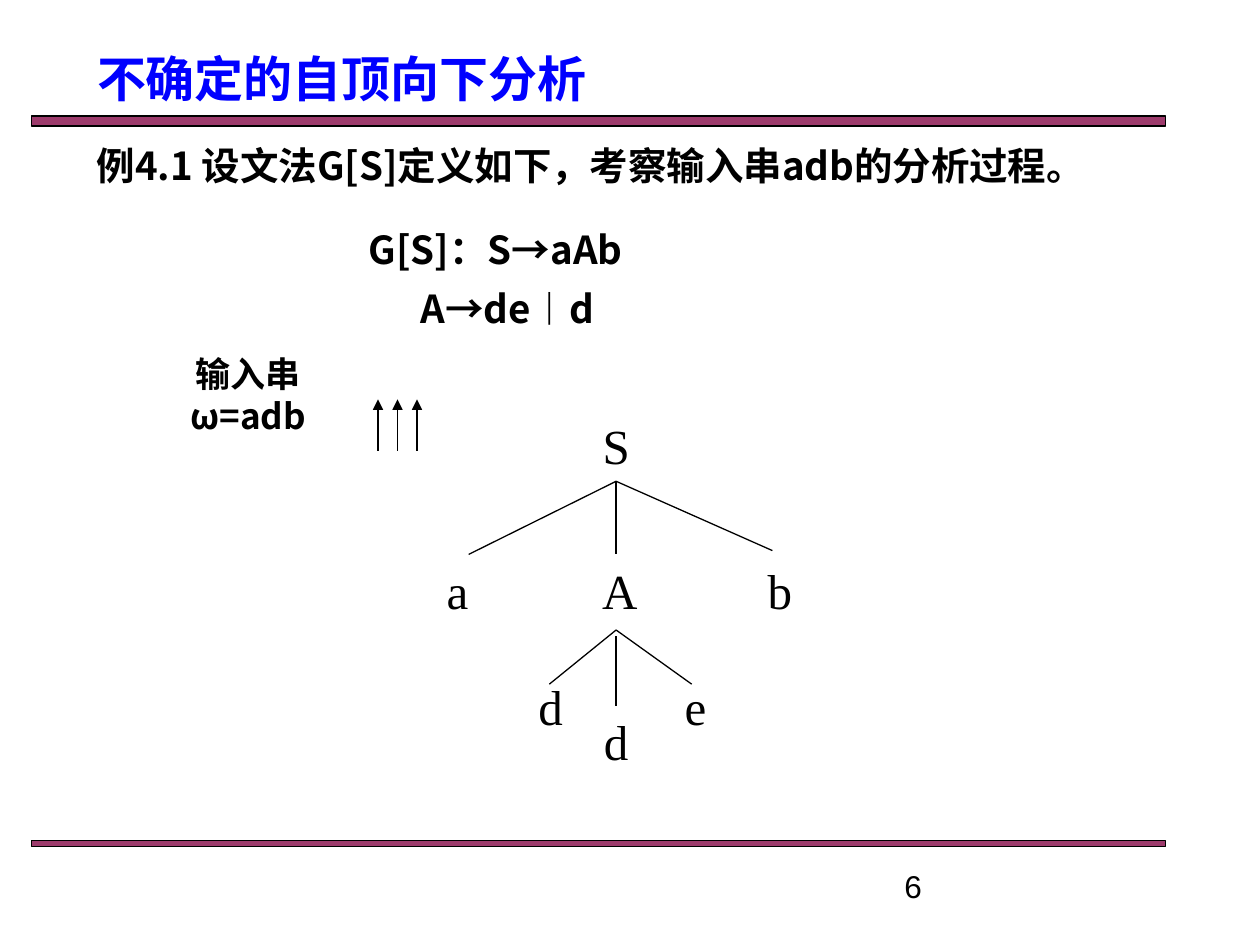
from dataclasses import dataclass

from lxml import etree
from pptx import Presentation
from pptx.dml.color import RGBColor
from pptx.enum import shapes, text
from pptx.oxml import ns
from pptx.util import Inches, Pt


@dataclass(frozen=True)
class Theme:
    ink: str = "000000"
    blue: str = "0000FF"
    plum: str = "993366"
    sans: str = "Noto Sans CJK SC"
    serif: str = "Times New Roman"
    plain: str = "Arial"
    large: int = 28
    body: int = 22
    label: int = 20
    small: int = 18
    rule: float = 0.75


def add(parent, tag, **attrs):
    return etree.SubElement(parent, ns.qn(tag), attrs)


class Board:
    def __init__(self, deck, theme):
        self.theme = theme
        self.slide = deck.slides.add_slide(deck.slide_layouts[5])
        self.items = self.slide.shapes

    def put(self, para, words, size, font, bold=False, color=None):
        """Add one styled run to a paragraph."""
        run = para.add_run()
        run.text = words
        face = run.font
        face.size, face.bold, face.name = Pt(size), bold, font
        face.color.rgb = RGBColor.from_string(color or self.theme.ink)
        add(run._r.get_or_add_rPr(), "a:ea", typeface=self.theme.sans)

    def title(self, words, left, top, width, height):
        box = self.items.title
        box.left, box.top = Inches(left), Inches(top)
        box.width, box.height = Inches(width), Inches(height)
        para = box.text_frame.paragraphs[0]
        para.alignment = text.PP_ALIGN.LEFT
        look = self.theme
        self.put(para, words, look.large, look.serif, True, look.blue)

    def box(self, left, top, width, height):
        item = self.items.add_textbox(*map(Inches, (left, top, width, height)))
        item.text_frame.word_wrap = True
        return item

    def node(self, words, mid, top):
        """Place a tree symbol centred on mid."""
        width = 0.42
        item = self.box(mid - width / 2, top, width, 0.57)
        para = item.text_frame.paragraphs[0]
        para.alignment = text.PP_ALIGN.CENTER
        self.put(para, words, self.theme.large, self.theme.serif)
        return item

    def bar(self, top, height):
        item = self.items.add_shape(
            shapes.MSO_SHAPE.RECTANGLE,
            Inches(0.25), Inches(top), Inches(9), Inches(height))
        item.shadow.inherit = False
        item.fill.solid()
        item.fill.fore_color.rgb = RGBColor.from_string(self.theme.plum)
        tint = item._element.spPr.find(ns.qn("a:solidFill"))[0]
        add(tint, "a:alpha", val="96000")
        item.line.color.rgb = RGBColor.from_string(self.theme.ink)
        item.line.width = Pt(self.theme.rule)

    def line(self, start, end, head=False):
        item = self.items.add_connector(
            shapes.MSO_CONNECTOR.STRAIGHT, *map(Inches, (*start, *end)))
        item.line.color.rgb = RGBColor.from_string(self.theme.ink)
        item.line.width = Pt(self.theme.rule)
        if head:
            add(item.line._get_or_add_ln(), "a:headEnd", type="triangle")
        add(item._element.spPr, "a:effectLst")
        return item


def tree(board):
    axis = 4.89
    root = board.node("S", axis, 3.25)
    board.node("a", 3.63, 4.4)
    inner = board.node("A", axis, 4.4)
    board.node("b", 6.19, 4.4)
    for end in ((axis, 4.4), (3.72, 4.4), (6.13, 4.37)):
        edge = board.line((axis, 3.82), end)
        edge.begin_connect(root, 2)
        if end[0] == axis:
            edge.end_connect(inner, 0)

    for words, mid, end in (("d", 4.37, 4.36), ("e", 5.52, 5.49)):
        board.node(words, mid, 5.32)
        board.line((axis, 5), (end, 5.43))
    leaf = board.node("d", axis, 5.6)
    board.line((axis, 5.05), (axis, 5.6)).end_connect(leaf, 0)


def main():
    deck = Presentation()
    deck.slide_width, deck.slide_height = Inches(10), Inches(7.5)
    look = Theme()
    board = Board(deck, look)

    board.bar(0.92, 0.08)
    board.bar(6.67, 0.05)
    board.title("不确定的自顶向下分析", 0.67, 0.33, 6.42, 0.58)

    page = board.box(7.08, 6.83, 2.33, 0.27)
    board.put(page.text_frame.paragraphs[0], "6", look.small, look.plain)

    task = board.box(0.67, 1.08, 8.58, 0.47)
    board.put(task.text_frame.paragraphs[0],
              "例4.1 设文法G[S]定义如下，考察输入串adb的分析过程。",
              look.body, look.sans, True)

    frame = board.box(2.83, 1.67, 4.17, 1.03).text_frame
    for para, words, indent in (
            (frame.paragraphs[0], "G[S]：S→aAb", 0),
            (frame.add_paragraph(), "A→de︱d", 0.41)):
        para.line_spacing = 1.2
        para.space_before = Pt(2.2)
        para._p.get_or_add_pPr().set("marL", str(Inches(indent)))
        board.put(para, words, look.body, look.sans, True)

    frame = board.box(1.41, 2.75, 2.04, 0.44).text_frame
    frame.margin_right = Inches(1.02)
    para = frame.paragraphs[0]
    para.alignment = text.PP_ALIGN.CENTER
    board.put(para, "输入串 ω=adb", look.label, look.sans, True)

    for step in range(3):
        left = 3 + step * 0.155
        board.line((left, 3.17), (left, 3.58), head=True)

    tree(board)
    deck.save("out.pptx")


if __name__ == "__main__":
    main()
